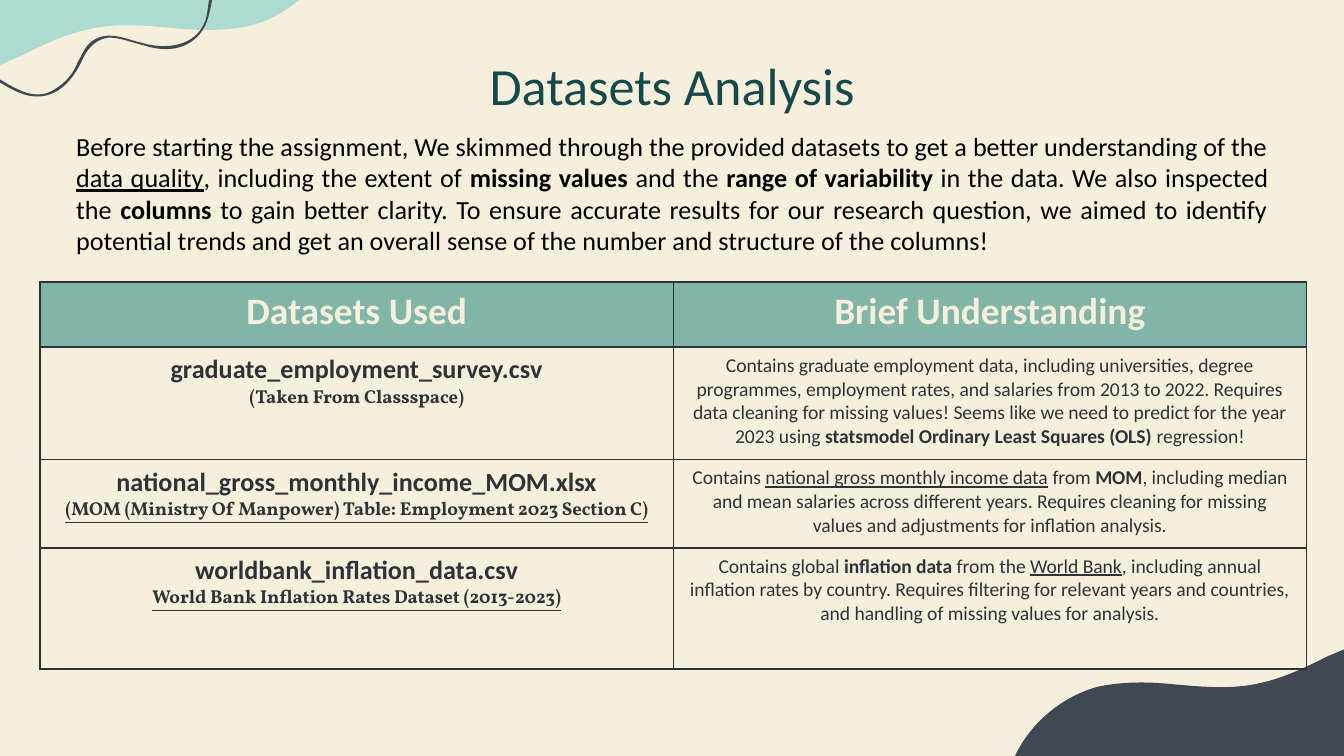
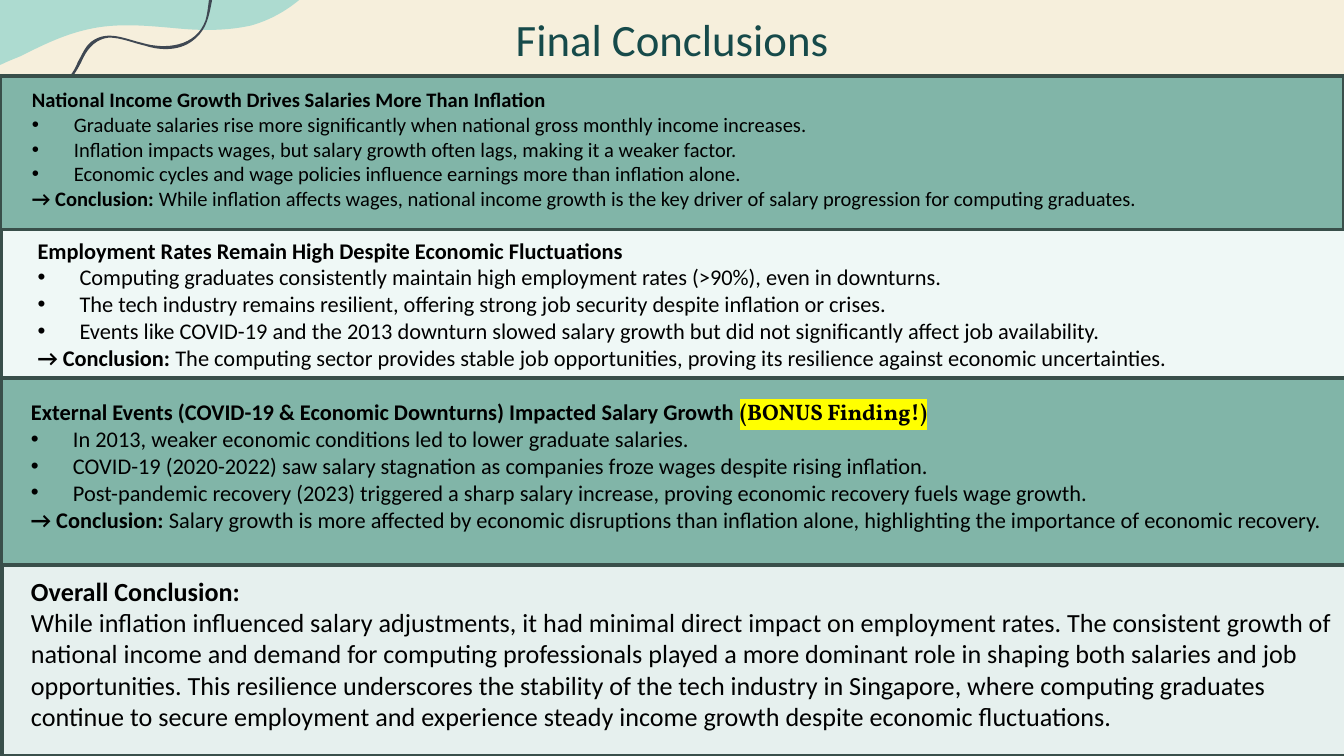
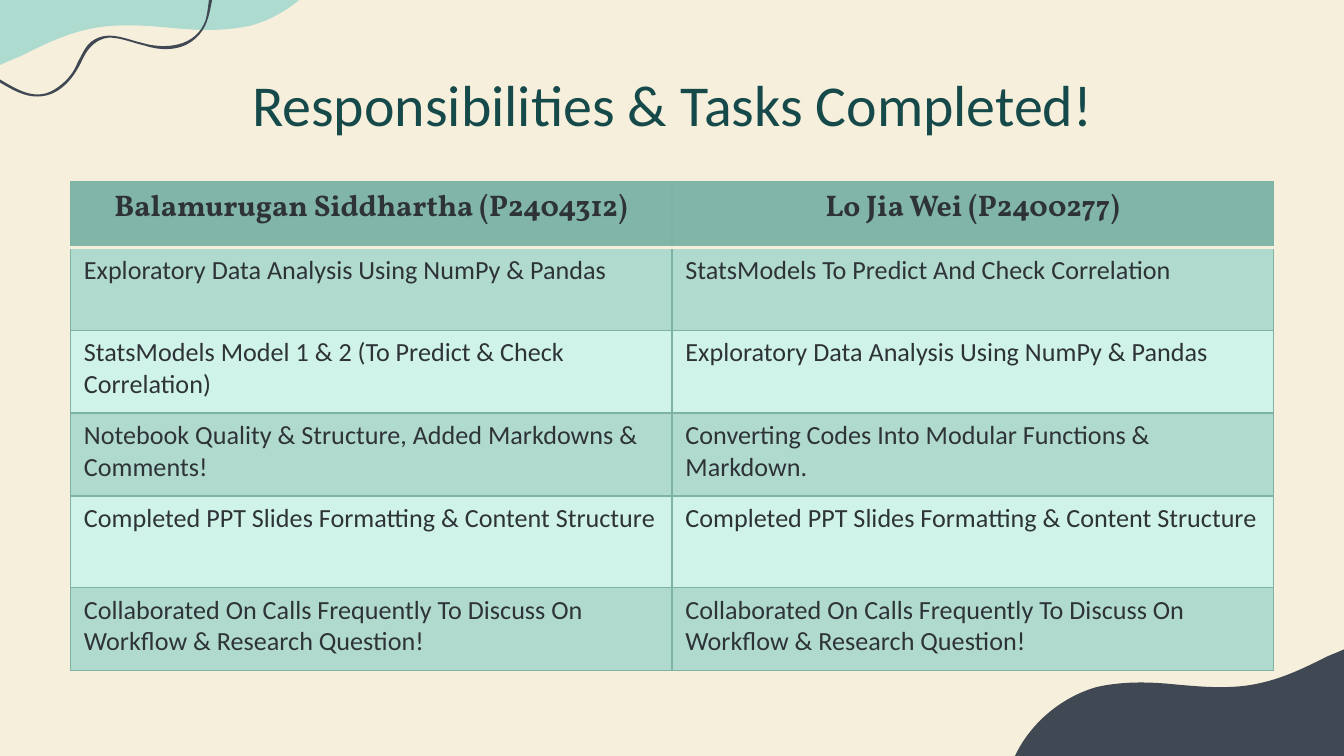
from lxml import etree
from pptx import Presentation
from pptx.dml.color import RGBColor
from pptx.enum.shapes import MSO_SHAPE
from pptx.enum.text import PP_ALIGN
from pptx.oxml.ns import qn
from pptx.util import Pt

RECT = MSO_SHAPE.RECTANGLE
LEFT, CENTER, JUSTIFY = PP_ALIGN.LEFT, PP_ALIGN.CENTER, PP_ALIGN.JUSTIFY

COLORS = {
    "cream": "F6EFDC", "mint": "ADDBD0", "slate": "3F4853", "title": "164A4A",
    "black": "000000", "ink": "2E3338", "sage": "81B5A8", "sage_line": "7DB2A5",
    "band_line": "394F4A", "ice": "EFF8F6", "mist": "E6F0EE", "yellow": "FFFF00",
    "row_dark": "B0DACE", "row_light": "CFF3E8",
}
RGB = {name: RGBColor.from_string(value) for name, value in COLORS.items()}
HUNDREDTH = Pt(0.72)  # outline coordinates are hundredths of an inch

# Each outline: a start point, then three points per Bézier curve.
WAVE = [
    (-139, -37), (-140, -21), (-138, -6), (-132, 8), (-123, 29), (-103, 45), (-82, 52),
    (-79, 53), (-77, 54), (-74, 54), (-49, 60), (-23, 57), (1, 48),
    (5, 46), (10, 44), (15, 42), (31, 34), (47, 26), (65, 22),
    (86, 17), (108, 19), (130, 21), (150, 23), (169, 23), (187, 19),
    (215, 11), (239, -10), (250, -37),
]
RIBBON = [
    (192, -53), (180, -47), (171, -37), (165, -26), (161, -20), (159, -14), (157, -8),
    (155, 0), (155, 8), (153, 15), (146, 35), (123, 37), (106, 32),
    (93, 29), (80, 22), (68, 31), (63, 35), (61, 41), (58, 46),
    (55, 54), (50, 60), (43, 65), (27, 77), (12, 66), (-2, 58),
    (-27, 43), (-58, 49), (-75, 71), (-78, 76), (-81, 81), (-83, 86),
    (-83, 87), (-81, 88), (-81, 87), (-76, 71), (-63, 59), (-48, 54),
    (-31, 47), (-13, 52), (1, 62), (13, 69), (24, 75), (38, 70),
    (50, 65), (57, 54), (62, 43), (66, 35), (72, 29), (81, 28),
    (90, 28), (99, 32), (108, 34), (120, 38), (135, 38), (145, 29),
    (157, 19), (156, 4), (160, -9), (164, -24), (173, -38), (186, -47),
    (188, -49), (191, -50), (193, -52), (194, -52), (193, -54), (192, -53),
]


def add_outline(s, curve, color):
    """Draw a closed shape whose segments are Bézier curves."""
    builder = s.shapes.build_freeform(*curve[0], scale=HUNDREDTH)
    builder.add_line_segments(curve[1:], close=True)
    sp = builder.convert_to_shape()
    lines = list(sp._element.iter(qn("a:lnTo")))
    for i in range(0, len(lines), 3):
        bezier = etree.Element(qn("a:cubicBezTo"))
        lines[i].addprevious(bezier)
        for line in lines[i:i + 3]:
            bezier.append(line[0])
            line.getparent().remove(line)
    sp.shadow.inherit = False
    sp.fill.solid()
    sp.fill.fore_color.rgb = RGB[color]
    sp.line.fill.background()
    return sp


def write(tf, paragraphs, size, color, align=LEFT):
    """Fill a frame. A paragraph is a list of (text, style) runs.

    Style letters: b bold, u underlined, v Vollkorn, s small, h highlighted, * bulleted.
    """
    tf.word_wrap = True
    for i, runs in enumerate(paragraphs):
        p = tf.add_paragraph() if i else tf.paragraphs[0]
        p.alignment = align
        if "*" in runs[0][1]:
            pPr = p._p.get_or_add_pPr()
            pPr.set("marL", str(Pt(22.5)))
            pPr.set("indent", str(-Pt(22.5)))
            bullet_color = etree.SubElement(pPr, qn("a:buClr"))
            etree.SubElement(bullet_color, qn("a:srgbClr"), val=COLORS[color])
            etree.SubElement(pPr, qn("a:buFont"), typeface="Arial")
            etree.SubElement(pPr, qn("a:buChar"), char="•")
        for text, style in runs:
            r = p.add_run()
            r.text = text
            r.font.size = Pt(10 if "s" in style else size)
            r.font.name = "Vollkorn" if "v" in style else "Calibri"
            r.font.bold = "b" in style
            r.font.underline = "u" in style
            r.font.color.rgb = RGB[color]
            if "h" in style:
                highlight = etree.Element(qn("a:highlight"))
                etree.SubElement(highlight, qn("a:srgbClr"), val=COLORS["yellow"])
                r._r.rPr.find(qn("a:solidFill")).addnext(highlight)


prs = Presentation()
prs.slide_width, prs.slide_height = Pt(720), Pt(405)
background = prs.slide_master.background.fill
background.solid()
background.fore_color.rgb = RGB["cream"]

# Shared decoration and titles
titles = [
    ("Datasets Analysis", 28, (76.5, 28.5, 567, 71)),
    ("Final Conclusions", 24, (56, 6.25, 608, 36)),
    ("Responsibilities & Tasks Completed!", 31, (56, 37, 608, 36)),
]
for title, size, box in titles:
    s = prs.slides.add_slide(prs.slide_layouts[6])
    add_outline(s, WAVE, "mint")
    corner = add_outline(s, WAVE, "slate")
    corner.left, corner.top, corner.rotation = Pt(542.25), Pt(338.5), 180
    add_outline(s, RIBBON, "slate")
    tf = s.shapes.add_textbox(*map(Pt, box)).text_frame
    tf.margin_left = tf.margin_right = tf.margin_top = tf.margin_bottom = 0
    write(tf, [[(title, "")]], size, "title", CENTER)
datasets, conclusions, tasks = prs.slides

# Slide 1: introduction
intro = [
    ("Before starting the assignment, We skimmed through the provided datasets to get a better "
     "understanding of the ", ""),
    ("data quality", "u"), (", including the extent of ", ""), ("missing values", "b"),
    (" and the ", ""), ("range of variability", "b"),
    (" in the data. We also inspected the ", ""), ("columns", "b"),
    (" to gain better clarity. To ensure accurate results for our research question, we aimed to "
     "identify potential trends and get an overall sense of the number and structure of the columns!", ""),
]
sp = datasets.shapes.add_textbox(Pt(33.75), Pt(66.25), Pt(653), Pt(75))
write(sp.text_frame, [intro], 14, "black", JUSTIFY)

# Slide 2: bands of findings
findings = [
    ((0.25, 40.75, 720, 89.25), "sage", (10, 43.25, 711, 87), 11, [
        [("National Income Growth Drives Salaries More Than Inflation", "b")],
        [("Graduate salaries rise more significantly when national gross monthly income increases.", "*")],
        [("Inflation impacts wages, but salary growth often lags, making it a weaker factor.", "*")],
        [("Economic cycles and wage policies influence earnings more than inflation alone.", "*")],
        [("→ Conclusion:", "b"),
         (" While inflation affects wages, national income growth is the key driver of salary "
          "progression for computing graduates.", "")]]),
    ((0.75, 123, 721, 81.5), "ice", (13, 123.25, 677, 94), 12, [
        [("Employment Rates Remain High Despite Economic Fluctuations", "b")],
        [("Computing graduates consistently maintain high employment rates (>90%), even in downturns.", "*")],
        [("The tech industry remains resilient, offering strong job security despite inflation or crises.", "*")],
        [("Events like COVID-19 and the 2013 downturn slowed salary growth but did not significantly "
          "affect job availability.", "*")],
        [("→ Conclusion:", "b"),
         (" The computing sector provides stable job opportunities, proving its resilience against "
          "economic uncertainties.", "")]]),
    ((0.75, 202.5, 722, 100), "sage", (9.5, 209.75, 782, 97), 12, [
        [("External Events (COVID-19 & Economic Downturns) Impacted Salary Growth ", "b"),
         ("(BONUS Finding!)", "bvh")],
        [("In 2013, weaker economic conditions led to lower graduate salaries.", "*")],
        [("COVID-19 (2020-2022) saw salary stagnation as companies froze wages despite rising inflation.", "*")],
        [("Post-pandemic recovery (2023) triggered a sharp salary increase, proving economic recovery "
          "fuels wage growth.", "*")],
        [("→ Conclusion:", "b"),
         (" Salary growth is more affected by economic disruptions than inflation alone, highlighting "
          "the importance of economic recovery.", "")]]),
    ((1.25, 303, 721, 102.25), "mist", (9.5, 304.5, 713, 92), 14, [
        [("Overall Conclusion:", "b")],
        [("While inflation influenced salary adjustments, it had minimal direct impact on employment "
          "rates. The consistent growth of national income and demand for computing professionals "
          "played a more dominant role in shaping both salaries and job opportunities. This resilience "
          "underscores the stability of the tech industry in Singapore, where computing graduates "
          "continue to secure employment and experience steady income growth despite economic "
          "fluctuations.", "")]]),
]
for band_box, fill, text_box, size, paragraphs in findings:
    sp = conclusions.shapes.add_shape(RECT, *map(Pt, band_box))
    sp.shadow.inherit = False
    sp.fill.solid()
    sp.fill.fore_color.rgb = RGB[fill]
    sp.line.color.rgb = RGB["band_line"]
    sp.line.width = Pt(2)
    sp = conclusions.shapes.add_textbox(*map(Pt, text_box))
    write(sp.text_frame, paragraphs, size, "black")

# Slides 1 and 3: tables; each cell is a list of paragraphs
dataset_rows = [
    [[[("Datasets Used", "b")]], [[("Brief Understanding", "b")]]],
    [[[("graduate_employment_survey.csv", "b")], [("(Taken From Classspace)", "bvs")]],
     [[("Contains graduate employment data, including universities, degree programmes, employment "
        "rates, and salaries from 2013 to 2022. Requires data cleaning for missing values! Seems like "
        "we need to predict for the year 2023 using ", ""),
       ("statsmodel Ordinary Least Squares (OLS)", "b"), (" regression!", "")]]],
    [[[("national_gross_monthly_income_MOM.xlsx", "b")],
      [("(MOM (Ministry Of Manpower) Table: Employment 2023 Section C)", "bvsu")]],
     [[("Contains ", ""), ("national gross monthly income data", "u"), (" from ", ""), ("MOM", "b"),
       (", including median and mean salaries across different years. Requires cleaning for missing "
        "values and adjustments for inflation analysis.", "")]]],
    [[[("worldbank_inflation_data.csv", "b")],
      [("World Bank Inflation Rates Dataset (2013-2023)", "bvsu")]],
     [[("Contains global ", ""), ("inflation data", "b"), (" from the ", ""), ("World Bank", "u"),
       (", including annual inflation rates by country. Requires filtering for relevant years and "
        "countries, and handling of missing values for analysis.", "")]]],
]
task_names = [
    ("Exploratory Data Analysis Using NumPy & Pandas", "StatsModels To Predict And Check Correlation"),
    ("StatsModels Model 1 & 2 (To Predict & Check Correlation)",
     "Exploratory Data Analysis Using NumPy & Pandas"),
    ("Notebook Quality & Structure, Added Markdowns & Comments!",
     "Converting Codes Into Modular Functions & Markdown."),
    ("Completed PPT Slides Formatting & Content Structure",) * 2,
    ("Collaborated On Calls Frequently To Discuss On Workflow & Research Question!",) * 2,
]
task_rows = [[[[("Balamurugan Siddhartha (P2404312)", "bv")]], [[("Lo Jia Wei (P2400277)", "bv")]]]]
task_rows += [[[[(name, "")]] for name in pair] for pair in task_names]

# slide, left, top, column width, row heights, rows, header size and colour,
# body sizes by column, body alignment, body fills in turn, border, header rule
tables = [
    (datasets, 21.5, 151, 339.25, (35, 60.25, 47.25, 65), dataset_rows, 20, "cream",
     (14, 10.5), CENTER, (None,), ("ink", 1), ("ink", 1)),
    (tasks, 37.75, 97.25, 322.25, (35.5, 44.25, 44.25, 44.5, 49, 44.5), task_rows, 16, "ink",
     (14, 14), LEFT, ("row_dark", "row_light"), ("sage_line", 0.75), ("cream", 2)),
]
for (s, left, top, col_width, heights, rows, head_size, head_color,
     body_sizes, body_align, body_fills, border, head_rule) in tables:
    tbl = s.shapes.add_table(len(rows), 2, Pt(left), Pt(top), Pt(2 * col_width), Pt(sum(heights))).table
    tbl.first_row = tbl.horz_banding = False
    for col in tbl.columns:
        col.width = Pt(col_width)
    for i, (height, row) in enumerate(zip(heights, rows)):
        tbl.rows[i].height = Pt(height)
        for j, paragraphs in enumerate(row):
            cell = tbl.cell(i, j)
            if i == 0:
                write(cell.text_frame, paragraphs, head_size, head_color, CENTER)
                fill = "sage"
            else:
                write(cell.text_frame, paragraphs, body_sizes[j], "ink", body_align)
                fill = body_fills[(i - 1) % len(body_fills)]
            if fill:
                cell.fill.solid()
                cell.fill.fore_color.rgb = RGB[fill]
            else:
                cell.fill.background()
            tcPr = cell._tc.get_or_add_tcPr()
            for k, side in enumerate("LRTB"):
                color, width = head_rule if (i, side) in ((0, "B"), (1, "T")) else border
                ln = etree.Element(qn("a:ln" + side), w=str(Pt(width)))
                etree.SubElement(etree.SubElement(ln, qn("a:solidFill")), qn("a:srgbClr"), val=COLORS[color])
                tcPr.insert(k, ln)

prs.save("out.pptx")
